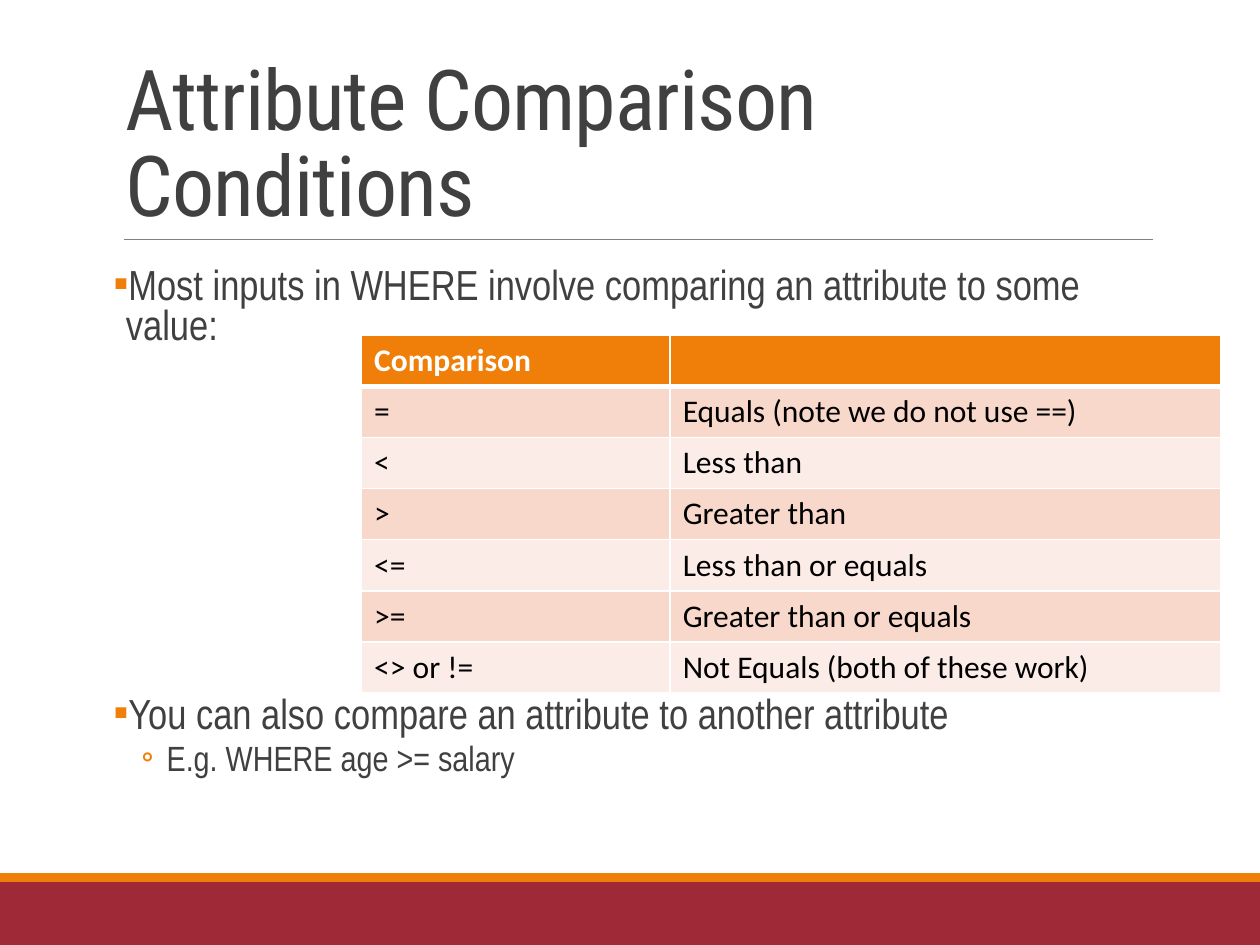
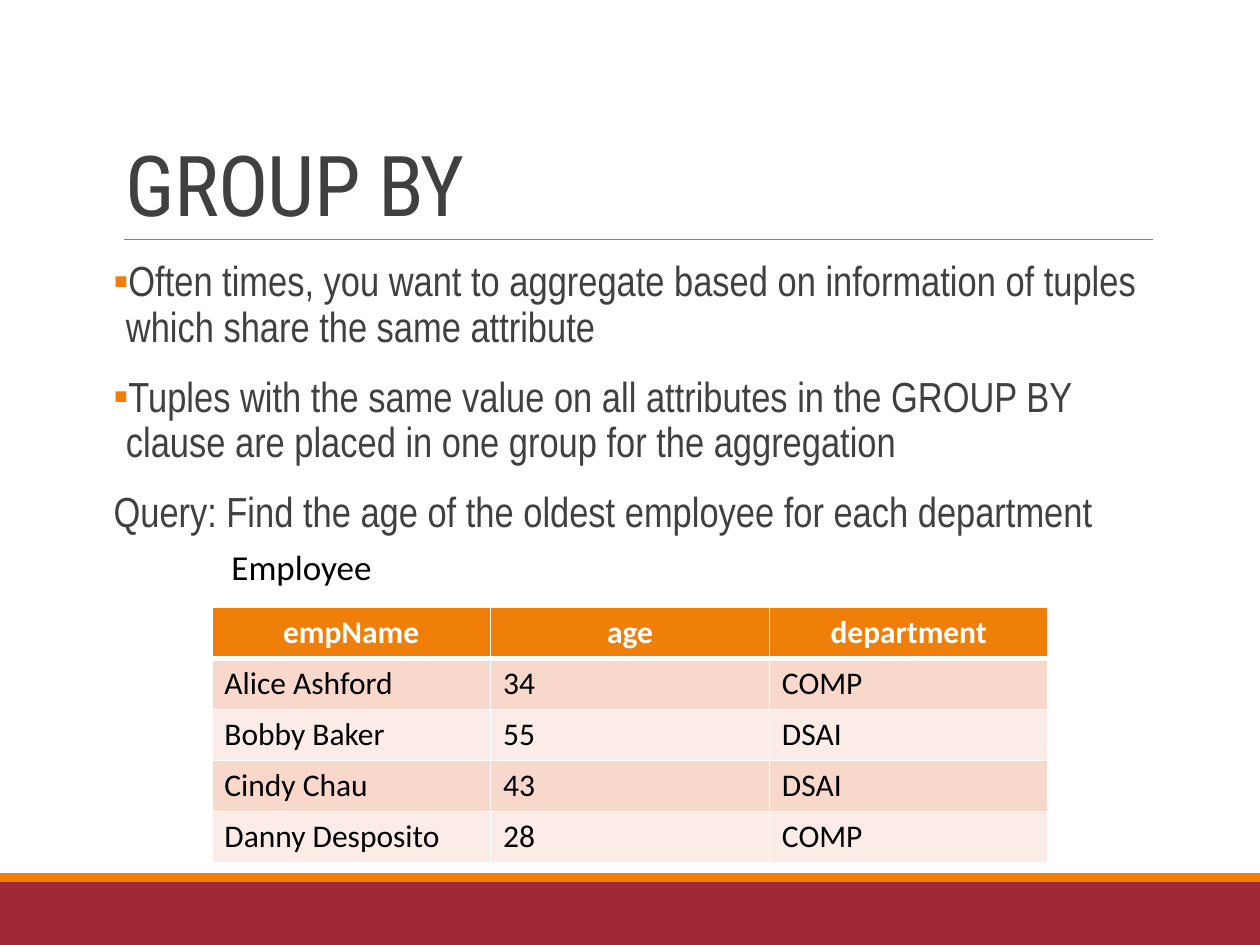
from lxml import etree
from pptx import Presentation
from pptx.dml.color import RGBColor
from pptx.enum.shapes import MSO_CONNECTOR, MSO_SHAPE
from pptx.enum.text import MSO_ANCHOR, PP_ALIGN
from pptx.oxml.ns import qn
from pptx.util import Cm, Pt

RECT, STRAIGHT = MSO_SHAPE.RECTANGLE, MSO_CONNECTOR.STRAIGHT
BOTTOM, MIDDLE = MSO_ANCHOR.BOTTOM, MSO_ANCHOR.MIDDLE
LEFT, CENTER = PP_ALIGN.LEFT, PP_ALIGN.CENTER

RED = RGBColor(0x9F, 0x29, 0x36)
ORANGE = RGBColor(0xF0, 0x7F, 0x09)
GREY = RGBColor(0x80, 0x80, 0x80)
DARK = RGBColor(0x40, 0x40, 0x40)
WHITE = RGBColor(0xFF, 0xFF, 0xFF)
BLACK = RGBColor(0x00, 0x00, 0x00)
ROW_FILLS = [RGBColor(0xF9, 0xD8, 0xCC), RGBColor(0xFC, 0xEC, 0xE7)]

TITLE = {"name": "Roboto Condensed", "size": Pt(48)}
HEADER = {"name": "Calibri", "size": Pt(18), "bold": True}
CELL = {"name": "Calibri", "size": Pt(18), "bold": False}
CAPTION = {"name": "Calibri", "size": Pt(20)}
ROW_HEIGHT = Cm(1.03)

# Paragraph styles: bullet, left margin, hanging indent, text size
POINT = ("▪", Cm(0.25), Cm(-0.25), 24)
SUBPOINT = ("◦", Cm(1.07), Cm(-0.51), 20)
PLAIN = (None, 0, 0, 24)

# Body lines: style, space before, space after, text
slides = [
    {
        "title": "Attribute Comparison Conditions",
        "body_box": (2.29, 5.28, 20.96, 11.18),
        "line_spacing": 0.8,
        "body": [
            (POINT, 0, 2, "Most inputs in WHERE involve comparing an attribute to some value:"),
            (POINT, 197, 2, "You can also compare an attribute to another attribute"),
            (SUBPOINT, 2, 4, "E.g. WHERE age >= salary"),
        ],
        "table_at": (7.29, 6.76),
        "columns": [6.22, 11.1],
        "header_align": LEFT,
        "rows": [
            ("Comparison", ""),
            ("=", "Equals (note we do not use ==)"),
            ("<", "Less than"),
            (">", "Greater than"),
            ("<=", "Less than or equals"),
            (">=", "Greater than or equals"),
            ("<> or !=", "Not Equals (both of these work)"),
        ],
    },
    {
        "title": "GROUP BY",
        "body_box": (2.29, 5.13, 21.44, 11.18),
        "line_spacing": 0.9,
        "body": [
            (POINT, 0, 2, "Often times, you want to aggregate based on information of tuples "
                          "which share the same attribute"),
            (POINT, 12, 2, "Tuples with the same value on all attributes in the GROUP BY "
                           "clause are placed in one group for the aggregation"),
            (PLAIN, 12, 2, "Query: Find the age of the oldest employee for each department"),
        ],
        "table_at": (4.27, 12.24),
        "columns": [5.62] * 3,
        "header_align": CENTER,
        "rows": [
            ("empName", "age", "department"),
            ("Alice Ashford", "34", "COMP"),
            ("Bobby Baker", "55", "DSAI"),
            ("Cindy Chau", "43", "DSAI"),
            ("Danny Desposito", "28", "COMP"),
        ],
        "caption": "Employee",
    },
]


def add_run(p, text, color, formats):
    r = p.add_run()
    r.text = text
    r.font.color.rgb = color
    for key, value in formats.items():
        setattr(r.font, key, value)
    return r


def set_border(cell, side, points):
    ln = etree.SubElement(cell._tc.get_or_add_tcPr(), qn(f"a:ln{side}"), w=str(Pt(points)))
    fill = etree.SubElement(ln, qn("a:solidFill"))
    etree.SubElement(fill, qn("a:srgbClr"), val=str(WHITE))


prs = Presentation()
prs.slide_width, prs.slide_height = Cm(25.4), Cm(19.05)

for content in slides:
    s = prs.slides.add_slide(prs.slide_layouts[6])

    # Footer bands and title rule
    for top, height, color in [(17.78, 1.27, RED), (17.6, 0.18, ORANGE)]:
        band = s.shapes.add_shape(RECT, 0, Cm(top), prs.slide_width, Cm(height))
        band.shadow.inherit = False
        band.fill.solid()
        band.fill.fore_color.rgb = color
        band.line.fill.background()
    rule = s.shapes.add_connector(STRAIGHT, Cm(2.49), Cm(4.83), Cm(23.24), Cm(4.83))
    rule.line.color.rgb = GREY
    rule.line.width = Pt(0.5)
    etree.SubElement(rule._element.spPr, qn("a:effectLst"))

    # Title
    tf = s.shapes.add_textbox(Cm(2.29), Cm(0.79), Cm(20.96), Cm(4.04)).text_frame
    tf.word_wrap = True
    tf.vertical_anchor = BOTTOM
    p = tf.paragraphs[0]
    p.line_spacing = 0.85
    r = add_run(p, content["title"], DARK, TITLE)
    r.font._element.set("spc", "-50")

    # Body
    tf = s.shapes.add_textbox(*map(Cm, content["body_box"])).text_frame
    tf.word_wrap = True
    tf.margin_left = tf.margin_right = 0
    for i, (style, before, after, text) in enumerate(content["body"]):
        bullet, margin, indent, size = style
        p = tf.add_paragraph() if i else tf.paragraphs[0]
        if bullet:
            pPr = p._p.get_or_add_pPr()
            pPr.set("marL", str(margin))
            pPr.set("indent", str(indent))
            bullet_color = etree.SubElement(pPr, qn("a:buClr"))
            etree.SubElement(bullet_color, qn("a:srgbClr"), val=str(ORANGE))
            etree.SubElement(pPr, qn("a:buFont"), typeface="Calibri")
            etree.SubElement(pPr, qn("a:buChar"), char=bullet)
        p.line_spacing = content["line_spacing"]
        p.space_before, p.space_after = Pt(before), Pt(after)
        add_run(p, text, DARK, {"name": "Arial Narrow", "size": Pt(size)})

    # Table
    rows, columns = content["rows"], content["columns"]
    left, top = content["table_at"]
    table = s.shapes.add_table(len(rows), len(columns), Cm(left), Cm(top),
                               Cm(sum(columns)), ROW_HEIGHT * len(rows)).table
    table.first_row = table.horz_banding = False
    for column, width in zip(table.columns, columns):
        column.width = Cm(width)
    for i, row in enumerate(rows):
        table.rows[i].height = ROW_HEIGHT
        for j, text in enumerate(row):
            cell = table.cell(i, j)
            for side, points in [("L", 1), ("R", 1), ("T", 3 if i == 1 else 1),
                                 ("B", 3 if i == 0 else 1)]:
                set_border(cell, side, points)
            cell.fill.solid()
            cell.fill.fore_color.rgb = ROW_FILLS[(i - 1) % 2] if i else ORANGE
            p = cell.text_frame.paragraphs[0]
            p.alignment = LEFT if i else content["header_align"]
            if text:
                add_run(p, text, BLACK if i else WHITE, CELL if i else HEADER)

    # Table caption
    if "caption" in content:
        tf = s.shapes.add_textbox(Cm(4.24), Cm(10.87), Cm(3.68), Cm(1.12)).text_frame
        tf.word_wrap = False
        tf.vertical_anchor = MIDDLE
        p = tf.paragraphs[0]
        p.alignment = CENTER
        add_run(p, content["caption"], BLACK, CAPTION)

prs.save("out.pptx")
